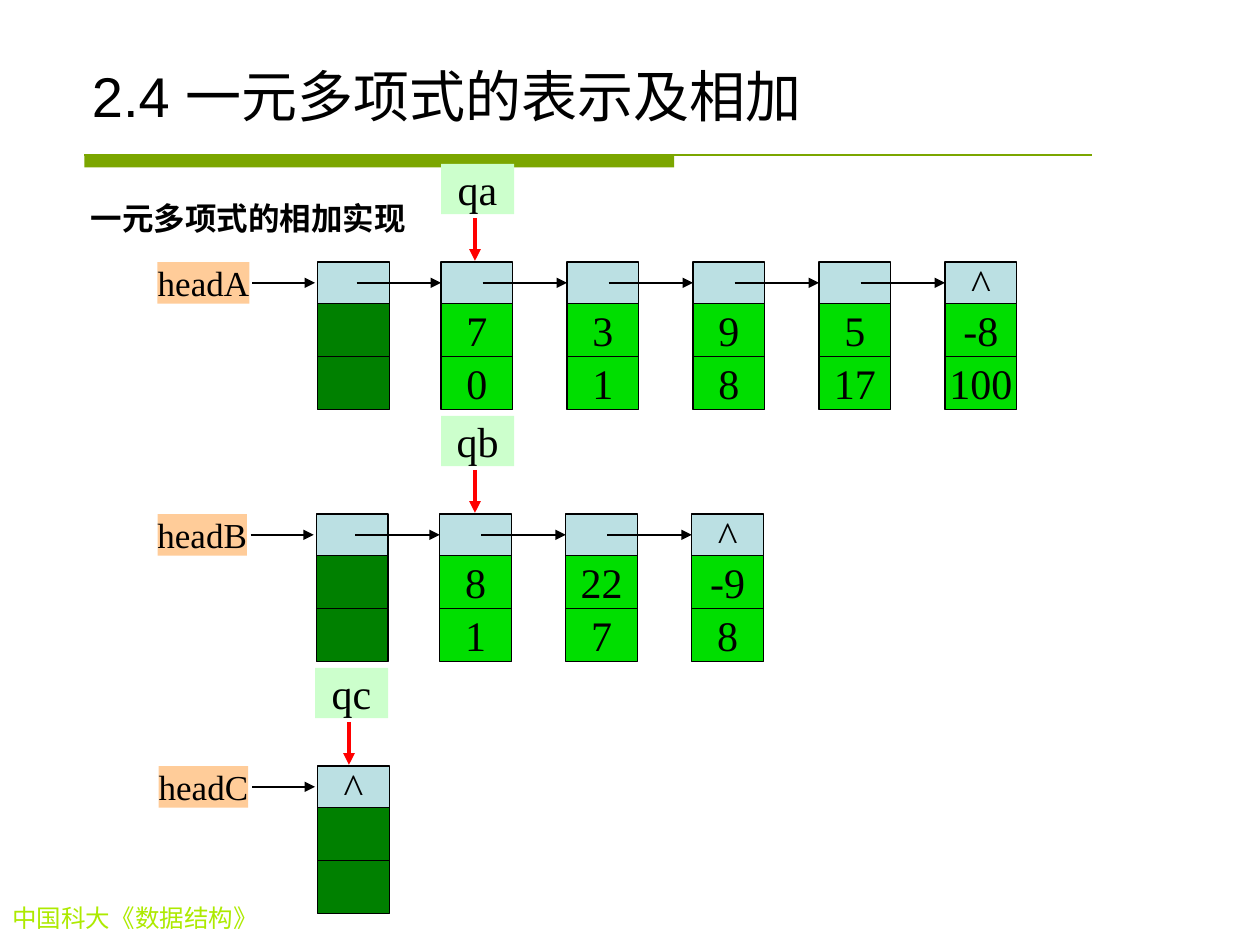
from dataclasses import dataclass

from lxml import etree
from pptx import Presentation
from pptx.dml.color import RGBColor
from pptx.enum.shapes import MSO_CONNECTOR, MSO_SHAPE
from pptx.enum.text import MSO_ANCHOR, MSO_AUTO_SIZE, PP_ALIGN
from pptx.oxml.ns import qn
from pptx.util import Inches, Pt

RECTANGLE = MSO_SHAPE.RECTANGLE
STRAIGHT = MSO_CONNECTOR.STRAIGHT
TOP, MIDDLE, BOTTOM = MSO_ANCHOR.TOP, MSO_ANCHOR.MIDDLE, MSO_ANCHOR.BOTTOM
LEFT, CENTER = PP_ALIGN.LEFT, PP_ALIGN.CENTER
NO_AUTOFIT = MSO_AUTO_SIZE.NONE
LEFT_SIDE = 1

SERIF, SANS = "Times New Roman", "Arial"
BLACK, RED, OLIVE, LIME = "000000", "FF0000", "7BA600", "ADEA00"
LINK_FILL, TERM_FILL, HEADER_FILL = "BBE0E3", "00DE00", "008000"
HEAD_FILL, POINTER_FILL = "FFCC99", "CCFFCC"

HEADER_X, FIRST_X, NODE_STEP, NODE_WIDTH = 2.52, 3.5, 1.0, 0.57
LINK_HEIGHT, TERM_HEIGHT = 0.33, 0.42
POINTER_WIDTH, POINTER_HEIGHT = 0.58, 0.4


@dataclass
class Term:
    coefficient: str
    exponent: str


@dataclass
class LinkedList:
    head: str
    head_left: float
    head_width: float
    top: float
    shift: float
    pointer: str
    pointer_left: float
    terms: list[Term]


LISTS = [
    LinkedList("headA", 1.25, 0.73, 2.08, 0, "qa", 3.5,
               [Term("7", "0"), Term("3", "1"), Term("9", "8"),
                Term("5", "17"), Term("-8", "100")]),
    LinkedList("headB", 1.25, 0.71, 4.08, -0.01, "qb", 3.5,
               [Term("8", "1"), Term("22", "7"), Term("-9", "8")]),
    LinkedList("headC", 1.26, 0.71, 6.08, 0, "qc", 2.5, []),
]


def color(value: str) -> RGBColor:
    return RGBColor.from_string(value)


def write(shape, text: str, size: float, font: str = SERIF, ink: str = BLACK,
          align=CENTER, anchor=MIDDLE, bold: bool = False, wrap: bool = False):
    frame = shape.text_frame
    frame.text = text
    frame.auto_size = NO_AUTOFIT
    frame.word_wrap = wrap
    frame.vertical_anchor = anchor
    para = frame.paragraphs[0]
    para.alignment = align
    for span in para.runs:
        span.font.name = font
        span.font.size = Pt(size)
        span.font.bold = bold
        span.font.color.rgb = color(ink)
    return para


def add_text(page, left: float, top: float, width: float, height: float,
             text: str, size: float, **style):
    box = page.shapes.add_textbox(Inches(left), Inches(top), Inches(width), Inches(height))
    return write(box, text, size, align=LEFT, anchor=TOP, wrap=True, **style)


def add_box(page, left: float, top: float, width: float, height: float, fill: str,
            text: str = "", size: float = 24, outlined: bool = True):
    box = page.shapes.add_shape(RECTANGLE, Inches(left), Inches(top),
                                Inches(width), Inches(height))
    box.shadow.inherit = False
    box.fill.solid()
    box.fill.fore_color.rgb = color(fill)
    if outlined:
        box.line.color.rgb = color(BLACK)
        box.line.width = Pt(0.75)
    else:
        box.line.fill.background()
        frame = box.text_frame
        frame.margin_left = frame.margin_right = frame.margin_top = frame.margin_bottom = 0
    if text:
        write(box, text, size)
    return box


def add_line(page, start: tuple[float, float], end: tuple[float, float],
             ink: str, weight: float, arrow: bool = True):
    line = page.shapes.add_connector(STRAIGHT, Inches(start[0]), Inches(start[1]),
                                     Inches(end[0]), Inches(end[1]))
    line.line.color.rgb = color(ink)
    line.line.width = Pt(weight)
    if arrow:
        etree.SubElement(line.line._get_or_add_ln(), qn("a:tailEnd"), type="triangle")
    etree.SubElement(line._element.spPr, qn("a:effectLst"))
    return line


def add_node(page, left: float, top: float, fill: str, term: Term, last: bool):
    link = add_box(page, left, top, NODE_WIDTH, LINK_HEIGHT, LINK_FILL, "^" if last else "")
    for row, value in enumerate((term.coefficient, term.exponent)):
        add_box(page, left, top + LINK_HEIGHT + row * TERM_HEIGHT,
                NODE_WIDTH, TERM_HEIGHT, fill, value)
    return link


def add_list(page, chain: LinkedList) -> None:
    top, shift = chain.top, chain.shift
    middle = top + LINK_HEIGHT / 2
    add_box(page, chain.head_left, top, chain.head_width, LINK_HEIGHT,
            HEAD_FILL, chain.head, 20, outlined=False)
    add_line(page, (2 + shift, middle), (2.5 + shift, middle), BLACK, 1.5)

    add_node(page, HEADER_X + shift, top, HEADER_FILL, Term("", ""), not chain.terms)
    for index, term in enumerate(chain.terms):
        left = FIRST_X + index * NODE_STEP + shift
        last = index == len(chain.terms) - 1
        link = add_node(page, left, top, TERM_FILL, term, last)
        arrow = add_line(page, (left - 0.67, middle), (left, middle), BLACK, 1.5)
        arrow.end_connect(link, LEFT_SIDE)

    add_box(page, chain.pointer_left, top - 0.78, POINTER_WIDTH, POINTER_HEIGHT,
            POINTER_FILL, chain.pointer, outlined=False)
    pointer_x = chain.pointer_left + 0.27
    add_line(page, (pointer_x, top - 0.35), (pointer_x, top - 0.01), RED, 2.25)


def main() -> None:
    deck = Presentation()
    deck.slide_width, deck.slide_height = Inches(10), Inches(7.5)
    page = deck.slides.add_slide(deck.slide_layouts[5])

    title = page.shapes.title
    title.left, title.top = Inches(0.63), Inches(0.33)
    title.width, title.height = Inches(8.75), Inches(0.74)
    write(title, "2.4 一元多项式的表示及相加", 32, SANS, align=LEFT, anchor=BOTTOM, wrap=True)

    add_box(page, 0.67, 1.23, 4.68, 0.1, OLIVE, outlined=False)
    add_line(page, (0.67, 1.23), (8.67, 1.23), OLIVE, 0.75, arrow=False)
    add_text(page, 0, 7.12, 3.11, 0.34, "中国科大《数据结构》", 14, ink=LIME)
    subtitle = add_text(page, 0.62, 1.47, 8.75, 0.53, "一元多项式的相加实现", 18,
                        font=SANS, bold=True)
    subtitle.line_spacing = 1.2

    for chain in LISTS:
        add_list(page, chain)
    deck.save("out.pptx")


if __name__ == "__main__":
    main()
